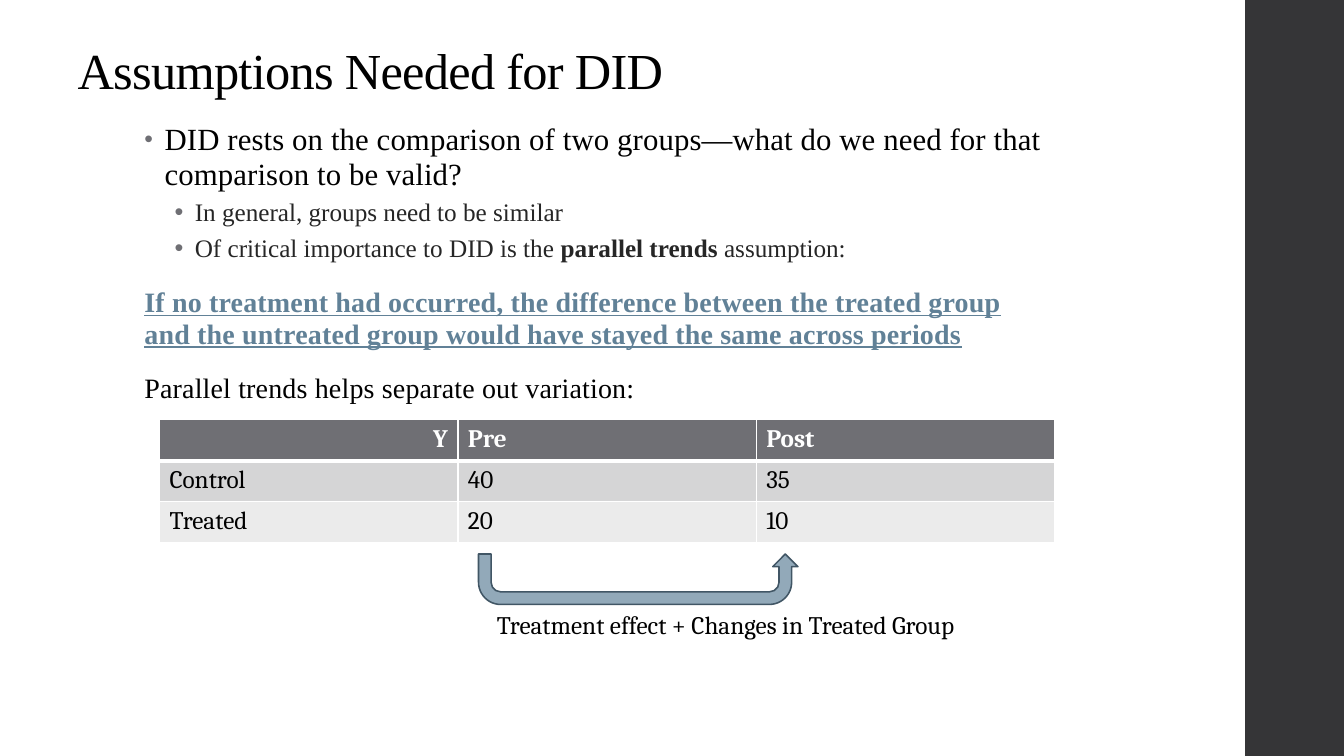
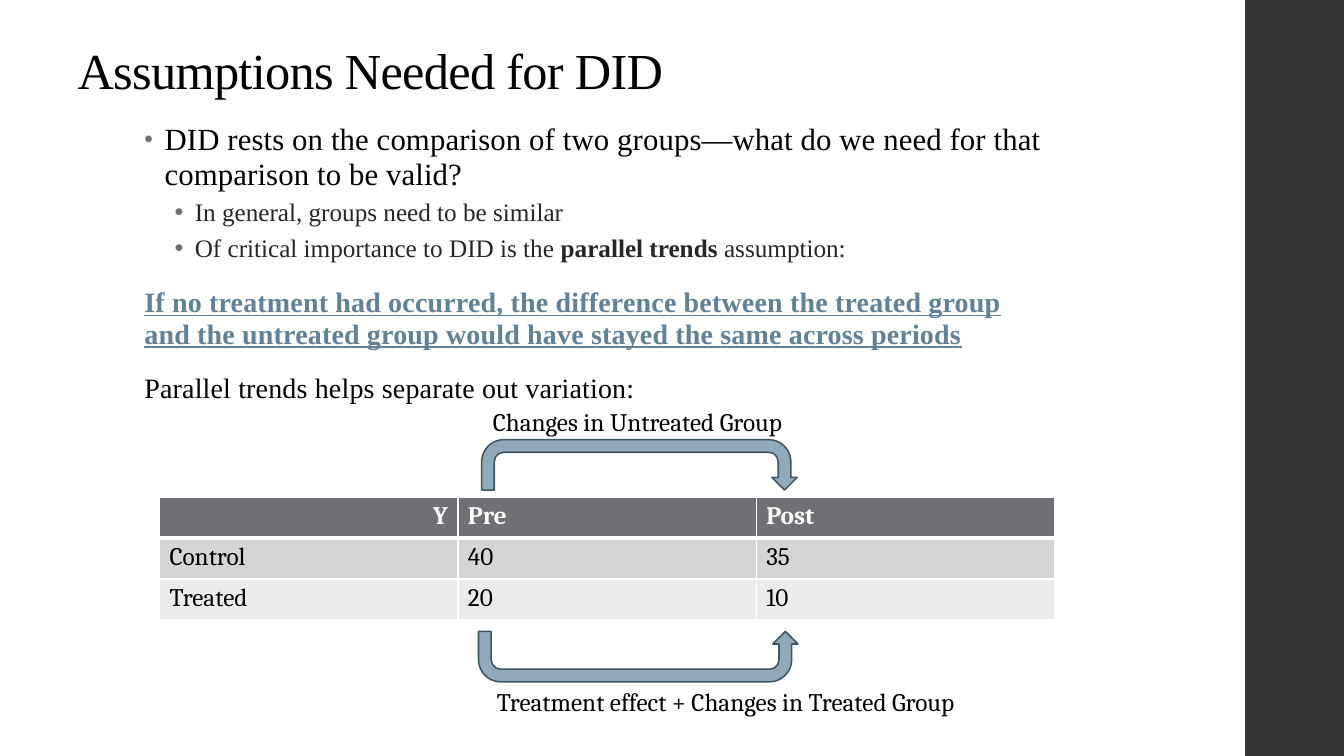
from dataclasses import dataclass

from lxml import etree
from pptx import Presentation
from pptx.dml.color import RGBColor
from pptx.enum import shapes, text
from pptx.oxml import ns
from pptx.util import Cm, Pt


@dataclass(frozen=True)
class Theme:
    serif: str = "Times New Roman"
    label: str = "Cambria"
    black: str = "000000"
    white: str = "FFFFFF"
    dark_grey: str = "262626"
    band: str = "353537"
    grey: str = "6F6F74"
    row_fills: tuple = ("6F6F74", "D5D5D6", "EBEBEB")
    steel: str = "618197"
    arrow: str = "92A9B9"
    arrow_line: str = "415665"
    title_size: int = 36
    lead_size: int = 22
    body_size: int = 20
    small_size: int = 18


THEME = Theme()
WIDTH, HEIGHT = 33.87, 19.05
BAND_LEFT = 31.38
TITLE = "Assumptions Needed for DID"
TITLE_BOX = (1.7, 0.94, 29.01, 1.73)
BODY_BOX = (3.39, 2.97, 26.14, 14.27)
TAB_STOP = 24.49

LEAD = dict(size=THEME.lead_size, spacing=10)
POINT = dict(size=THEME.small_size, color=THEME.dark_grey)
CLAIM = dict(size=THEME.body_size, color=THEME.steel, bold=True,
             underline=True, spacing=10)
PLAIN = dict(size=THEME.body_size, spacing=10)

LEAD_LAYOUT = dict(line=0.95, before=14, after=2, left=0.51, bullet=80)
POINT_LAYOUT = dict(line=0.9, before=3, after=3, left=1.27, bullet=100, level=1)
PLAIN_LAYOUT = dict(line=0.95, before=14, after=2)

BODY = [
    (LEAD_LAYOUT, [("DID rests on the comparison of two groups—what do we need "
                    "for that comparison to be valid?", LEAD)]),
    (POINT_LAYOUT, [("In general, groups need to be similar", POINT)]),
    (POINT_LAYOUT, [("Of critical importance to DID is the ", POINT),
                    ("parallel trends ", dict(POINT, bold=True)),
                    ("assumption:", POINT)]),
    (dict(PLAIN_LAYOUT, tab=TAB_STOP), [
        ("If no treatment had occurred, the difference between the treated group\t",
         CLAIM),
        ("\n", CLAIM),
        ("and the untreated group would have stayed the same across periods", CLAIM),
    ]),
    (PLAIN_LAYOUT, [("Parallel trends helps separate out variation:", PLAIN)]),
]

OUTCOMES = [("Y", "Pre", "Post"), ("Control", "40", "35"), ("Treated", "20", "10")]
TABLE_LEFT, COLUMN_WIDTH, ROW_HEIGHT = 4.02, 7.52, 1.03

TREATED = dict(label="Treatment effect + Changes in Treated Group",
               label_left=12.27, label_offset=4.65,
               left=12.06, width=8.05, offset=3.38, below=True)
UNTREATED = dict(label="Changes in Untreated Group",
                 label_left=12.17, label_offset=-2.41,
                 left=12.14, width=7.95, offset=-1.45, below=False)
SLIDES = [(10.58, [TREATED]), (12.53, [TREATED, UNTREATED])]


def rgb(color):
    return RGBColor.from_string(color)


def write(paragraph, content, size=THEME.small_size, font=THEME.serif,
          color=THEME.black, bold=False, underline=False, spacing=0):
    if content == "\n":
        paragraph.add_line_break()
        return
    run = paragraph.add_run()
    run.text = content
    run.font.size = Pt(size)
    run.font.name = font
    run.font.bold = bold
    run.font.underline = underline
    run.font.color.rgb = rgb(color)
    run.font._element.set("spc", str(spacing))


def add_child(parent, tag, **attributes):
    return etree.SubElement(parent, ns.qn(tag), attributes)


def arrange(paragraph, line, before, after, left=0, bullet=None, level=0, tab=None):
    paragraph.level = level
    paragraph.line_spacing = line
    paragraph.space_before, paragraph.space_after = Pt(before), Pt(after)
    properties = paragraph._p.get_or_add_pPr()
    if bullet:
        properties.set("marL", str(Cm(left)))
        properties.set("indent", str(-Cm(0.51)))
        color = add_child(properties, "a:buClr")
        add_child(color, "a:srgbClr", val=THEME.grey)
        add_child(properties, "a:buSzPct", val=str(bullet * 1000))
        add_child(properties, "a:buFont", typeface="Arial")
        add_child(properties, "a:buChar", char="•")
    if tab:
        stops = add_child(properties, "a:tabLst")
        add_child(stops, "a:tab", pos=str(Cm(tab)), algn="l")


def add_text_box(slide, box):
    frame = slide.shapes.add_textbox(*map(Cm, box)).text_frame
    frame.word_wrap = True
    return frame


def add_shape(slide, kind, box, fill, line=None):
    shape = slide.shapes.add_shape(kind, *map(Cm, box))
    shape.shadow.inherit = False
    shape.fill.solid()
    shape.fill.fore_color.rgb = rgb(fill)
    if line:
        shape.line.color.rgb = rgb(line)
        shape.line.width = Pt(1.1)
    else:
        shape.line.fill.background()
    return shape


def add_band(slide):
    band = add_shape(slide, shapes.MSO_SHAPE.RECTANGLE,
                     (BAND_LEFT, 0, WIDTH - BAND_LEFT, HEIGHT), THEME.band)
    slide.slide_layout.shapes.element.append(band.element)


def add_title(slide):
    title = slide.shapes.title
    title.left, title.top, title.width, title.height = map(Cm, TITLE_BOX)
    frame = title.text_frame
    frame.auto_size = text.MSO_AUTO_SIZE.NONE
    frame.vertical_anchor = text.MSO_ANCHOR.BOTTOM
    paragraph = frame.paragraphs[0]
    paragraph.alignment = text.PP_ALIGN.LEFT
    paragraph.line_spacing = 0.9
    write(paragraph, TITLE, size=THEME.title_size, spacing=-50)


def add_body(slide):
    frame = add_text_box(slide, BODY_BOX)
    for index, (layout, runs) in enumerate(BODY):
        paragraph = frame.add_paragraph() if index else frame.paragraphs[0]
        arrange(paragraph, **layout)
        for content, style in runs:
            write(paragraph, content, **style)


def add_borders(cell, row):
    properties = cell._tc.get_or_add_tcPr()
    top = 3 if row == 1 else 1
    bottom = 3 if row == 0 else 1
    for side, width in (("L", 1), ("R", 1), ("T", top), ("B", bottom)):
        border = add_child(properties, f"a:ln{side}", w=str(Pt(width)))
        fill = add_child(border, "a:solidFill")
        add_child(fill, "a:srgbClr", val=THEME.white)


def add_outcomes(slide, top):
    rows, columns = len(OUTCOMES), len(OUTCOMES[0])
    table = slide.shapes.add_table(
        rows, columns, Cm(TABLE_LEFT), Cm(top),
        Cm(COLUMN_WIDTH * columns), Cm(ROW_HEIGHT * rows)).table
    for row, values in enumerate(OUTCOMES):
        for column, value in enumerate(values):
            cell = table.cell(row, column)
            add_borders(cell, row)
            cell.fill.solid()
            cell.fill.fore_color.rgb = rgb(THEME.row_fills[row])
            paragraph = cell.text_frame.paragraphs[0]
            if row == column == 0:
                paragraph.alignment = text.PP_ALIGN.RIGHT
            write(paragraph, value, font=THEME.label, bold=row == 0,
                  color=THEME.black if row else THEME.white)


def add_change(slide, top, change):
    box = (change["left"], top + change["offset"], change["width"], 1.27)
    arrow = add_shape(slide, shapes.MSO_SHAPE.U_TURN_ARROW, box,
                      THEME.arrow, THEME.arrow_line)
    for index, value in enumerate((0.25, 0.25, 0.25, 0.44, 1)):
        arrow.adjustments[index] = value
    if change["below"]:
        arrow.rotation = 180
        arrow.element.spPr.find(ns.qn("a:xfrm")).set("flipH", "1")
    frame = add_text_box(
        slide, (change["label_left"], top + change["label_offset"], 14.1, 1.02))
    write(frame.paragraphs[0], change["label"], font=THEME.label)


def main():
    presentation = Presentation()
    presentation.slide_width, presentation.slide_height = Cm(WIDTH), Cm(HEIGHT)
    title_only = presentation.slide_layouts[5]
    for index, (table_top, changes) in enumerate(SLIDES):
        slide = presentation.slides.add_slide(title_only)
        if index == 0:
            add_band(slide)
        add_title(slide)
        add_body(slide)
        add_outcomes(slide, table_top)
        for change in changes:
            add_change(slide, table_top, change)
    presentation.save("out.pptx")


if __name__ == "__main__":
    main()
